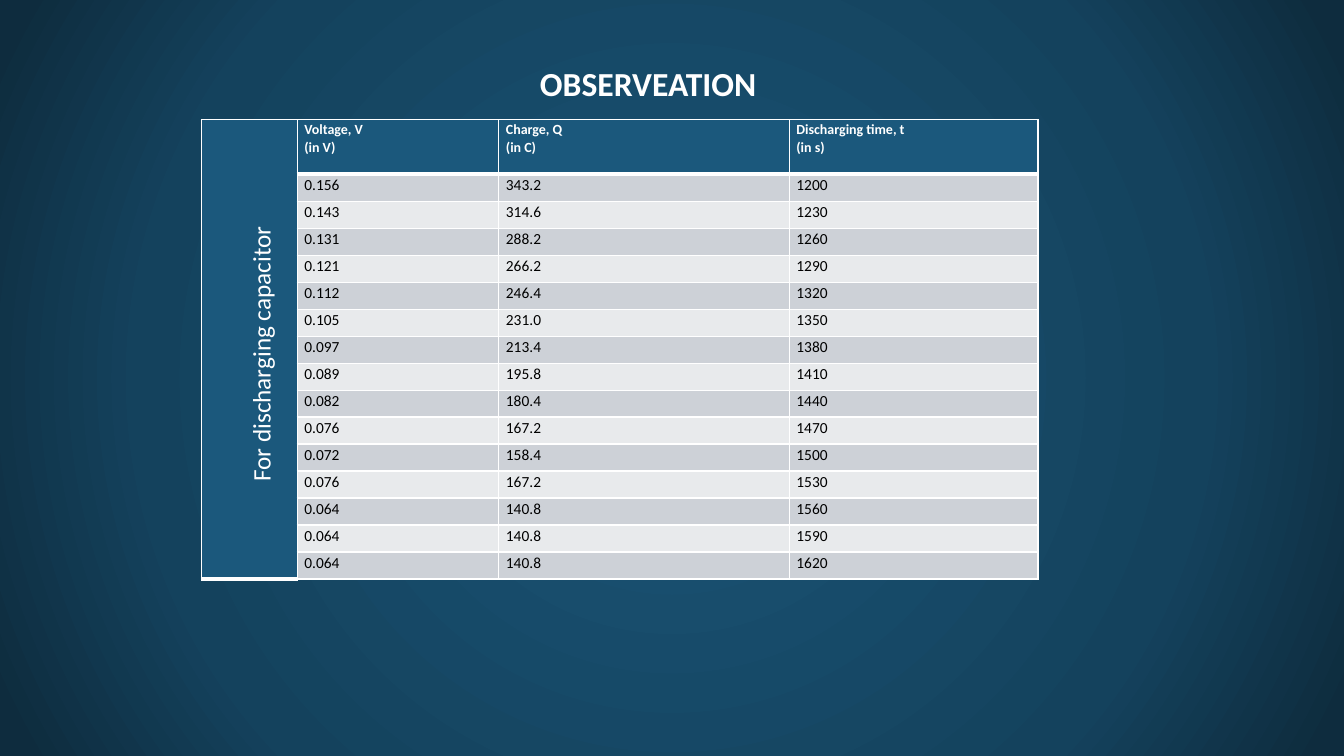
import pptx
import pptx.dml.color
import pptx.enum.text
import pptx.oxml
import pptx.oxml.ns
import pptx.util
from pptx.util import Cm

TITLE = "OBSERVEATION"
SIDE_LABEL = "For discharging capacitor"
HEADINGS = ["Voltage, V\n(in V)", "Charge, Q\n(in C)", "Discharging time, t\n(in s)"]
READINGS = [
    ("0.156", "343.2", "1200"),
    ("0.143", "314.6", "1230"),
    ("0.131", "288.2", "1260"),
    ("0.121", "266.2", "1290"),
    ("0.112", "246.4", "1320"),
    ("0.105", "231.0", "1350"),
    ("0.097", "213.4", "1380"),
    ("0.089", "195.8", "1410"),
    ("0.082", "180.4", "1440"),
    ("0.076", "167.2", "1470"),
    ("0.072", "158.4", "1500"),
    ("0.076", "167.2", "1530"),
    ("0.064", "140.8", "1560"),
    ("0.064", "140.8", "1590"),
    ("0.064", "140.8", "1620"),
]
COLUMN_WIDTHS = [2.41, 5.08, 7.32, 6.27]
HEADER_HEIGHT, ROW_HEIGHT = 1.37, 0.68
BACKDROP = [(0, "184E6E"), (23, "184E6E"), (69, "14425D"), (97, "0E2C3E")]
WHITE, BLACK, HEADER_BLUE = "FFFFFF", "000000", "1B587C"
BANDS = ["CDD1D7", "E8EAEC"]
NAMESPACE = pptx.oxml.ns.nsdecls("a")


def color(value):
    return pptx.dml.color.RGBColor.from_string(value)


def write(frame, text, size, ink=WHITE, bold=False, align=None, spacing=None):
    for index, line in enumerate(text.split("\n")):
        para = frame.add_paragraph() if index else frame.paragraphs[0]
        para.alignment = align
        para.line_spacing = spacing
        span = para.add_run()
        span.text = line
        span.font.name = "Calibri"
        span.font.size = pptx.util.Pt(size)
        span.font.bold = bold
        span.font.color.rgb = color(ink)


def add_label(page, text, left, top, width, height, rotation=0, **style):
    box = page.shapes.add_textbox(Cm(left), Cm(top), Cm(width), Cm(height))
    box.rotation = rotation
    box.text_frame.word_wrap = True
    write(box.text_frame, text, **style)


def paint_background(page):
    page.background.fill.solid()
    solid = page.element.find(".//" + pptx.oxml.ns.qn("p:bgPr"))[0]
    stops = "".join(
        f'<a:gs pos="{place * 1000}"><a:srgbClr val="{shade}"/></a:gs>' for place, shade in BACKDROP
    )
    gradient = pptx.oxml.parse_xml(
        f'<a:gradFill {NAMESPACE} rotWithShape="1"><a:gsLst>{stops}</a:gsLst><a:path path="circle">'
        '<a:fillToRect l="50000" t="50000" r="50000" b="50000"/></a:path></a:gradFill>'
    )
    solid.getparent().replace(solid, gradient)


def style_cell(cell, fill, top=1, bottom=1):
    cell.margin_left = cell.margin_right = Cm(0.18)
    cell.margin_top = cell.margin_bottom = 0
    cell.fill.solid()
    cell.fill.fore_color.rgb = color(fill)
    properties = cell._tc.get_or_add_tcPr()
    for index, (side, points) in enumerate(zip("LRTB", (1, 1, top, bottom))):
        properties.insert(index, pptx.oxml.parse_xml(
            f'<a:ln{side} {NAMESPACE} w="{points * 12700}"><a:solidFill>'
            f'<a:srgbClr val="{WHITE}"/></a:solidFill></a:ln{side}>'
        ))


def add_readings(page):
    count = len(READINGS) + 1
    frame = page.shapes.add_table(
        count, len(COLUMN_WIDTHS), Cm(5.08), Cm(3.02),
        Cm(sum(COLUMN_WIDTHS)), Cm(HEADER_HEIGHT + ROW_HEIGHT * len(READINGS)),
    )
    table = frame.table
    for column, width in zip(table.columns, COLUMN_WIDTHS):
        column.width = Cm(width)
    for index, row in enumerate(table.rows):
        row.height = Cm(ROW_HEIGHT if index else HEADER_HEIGHT)
        side = table.cell(index, 0)
        style_cell(side, HEADER_BLUE, bottom=3 if index in (0, count - 1) else 1)
        side.text_frame.paragraphs[0]._p.append(
            pptx.oxml.parse_xml(f'<a:endParaRPr {NAMESPACE} sz="1000"/>')
        )
    table.cell(0, 0).merge(table.cell(count - 1, 0))
    for column, heading in enumerate(HEADINGS, 1):
        cell = table.cell(0, column)
        style_cell(cell, HEADER_BLUE, bottom=3)
        write(cell.text_frame, heading, 10, bold=True, spacing=1.07)
    for row, reading in enumerate(READINGS, 1):
        for column, value in enumerate(reading, 1):
            cell = table.cell(row, column)
            style_cell(cell, BANDS[(row - 1) % 2], top=3 if row == 1 else 1)
            write(cell.text_frame, value, 11, ink=BLACK, spacing=1.07)


def main():
    deck = pptx.Presentation()
    deck.slide_width, deck.slide_height = Cm(33.87), Cm(19.05)
    page = deck.slides.add_slide(deck.slide_layouts[6])
    paint_background(page)
    add_readings(page)
    add_label(page, TITLE, 12.88, 1.47, 6.91, 1.27, size=24, bold=True,
              align=pptx.enum.text.PP_ALIGN.CENTER)
    add_label(page, SIDE_LABEL, 3, 8.31, 7.14, 1.02, rotation=270, size=18)
    deck.save("out.pptx")


if __name__ == "__main__":
    main()
